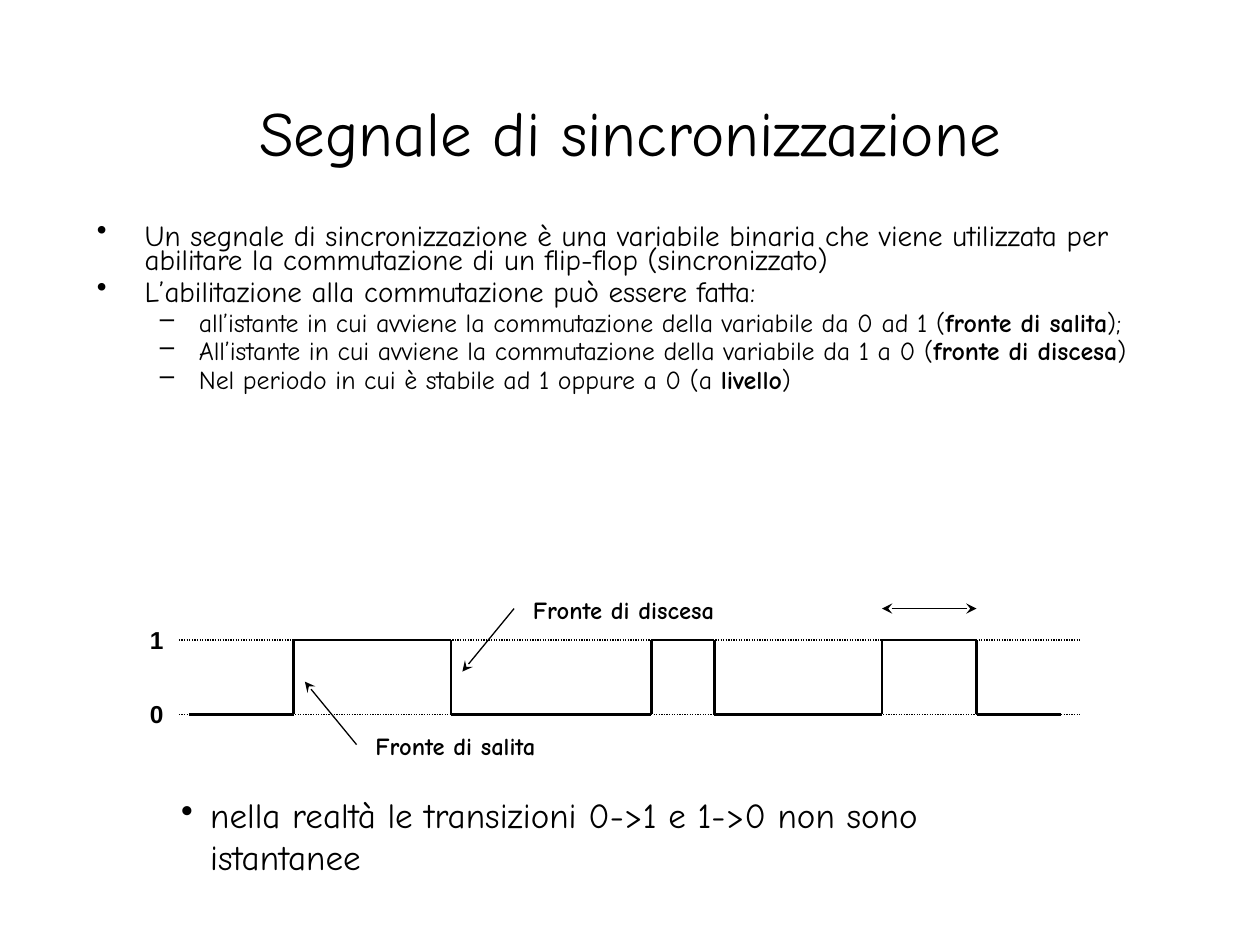
from itertools import pairwise

from lxml import etree
from pptx import Presentation
from pptx.dml.color import RGBColor
from pptx.enum.dml import MSO_LINE
from pptx.enum.shapes import MSO_CONNECTOR
from pptx.enum.text import MSO_ANCHOR, PP_ALIGN
from pptx.oxml.ns import qn
from pptx.util import Inches, Pt

STRAIGHT = MSO_CONNECTOR.STRAIGHT
DOTTED = MSO_LINE.ROUND_DOT
CENTER, LEFT = PP_ALIGN.CENTER, PP_ALIGN.LEFT
MIDDLE, TOP = MSO_ANCHOR.MIDDLE, MSO_ANCHOR.TOP

THEME = {
    "ink": RGBColor(0, 0, 0), "font": "Comic Neue", "digits": "Arial",
    "title": 36, "point": 16.6, "subpoint": 14.8, "label": 14, "remark": 20,
    "signal": 1.5, "thin": 0.75,
}

# Content: each paragraph is a list of (text, bold) runs
TITLE = "Segnale di sincronizzazione"
POINTS = [
    (0, [("Un segnale di sincronizzazione è una variabile binaria che viene utilizzata "
          "per abilitare la commutazione di un flip-flop (sincronizzato)", False)]),
    (0, [("L’abilitazione alla commutazione può essere fatta:", False)]),
    (1, [("all’istante in cui avviene la commutazione della variabile da 0 ad 1 (", False),
         ("fronte di salita", True), (");", False)]),
    (1, [("All’istante in cui avviene la commutazione della variabile da 1 a 0 (", False),
         ("fronte di discesa", True), (")", False)]),
    (1, [("Nel periodo in cui è stabile ad 1 oppure a 0 (a ", False),
         ("livello", True), (")", False)]),
]
REMARK = "nella realtà le transizioni 0->1 e 1->0 non sono istantanee"

# Format of each outline level: size, bullet, indent, hanging, space before
LEVELS = [
    dict(size=THEME["point"], bullet="•", indent=0.38, hanging=0.38, before=4.5),
    dict(size=THEME["subpoint"], bullet="–", indent=0.81, hanging=0.31, before=4),
]

# Timing diagram, in inches
HIGH, LOW = 5.08, 5.67
SIGNAL_START, SIGNAL_END = 1.5, 8.42
EDGES = [2.33, 3.58, 5.17, 5.67, 7, 7.75]
GUIDE_START, GUIDE_END = 1.42, 8.58
PULSE_Y = 4.83
POINTERS = [((2.83, 5.91), (2.42, 5.41)), ((4.08, 4.83), (3.67, 5.33))]
LABELS = [
    ("Fronte di discesa", (4.13, 4.67, 1.65, 0.34), THEME["font"]),
    ("Fronte di salita", (2.88, 5.75, 1.48, 0.34), THEME["font"]),
    ("1", (1.09, HIGH - 0.17, 0.31, 0.34), THEME["digits"]),
    ("0", (1.09, LOW - 0.17, 0.31, 0.34), THEME["digits"]),
]


def add_paragraph(paragraph, runs, size, font=THEME["font"], align=LEFT, bullet=None,
                  indent=0, hanging=0, before=0, spacing=None, level=0):
    paragraph.level = level
    paragraph.alignment = align
    paragraph.space_before = Pt(before)
    if spacing:
        paragraph.line_spacing = spacing
    if bullet:
        properties = paragraph._p.get_or_add_pPr()
        properties.set("marL", str(Inches(indent)))
        properties.set("indent", str(-Inches(hanging)))
        etree.SubElement(properties, qn("a:buChar")).set("char", bullet)
    for text, bold in runs:
        run = paragraph.add_run()
        run.text = text
        run.font.size = Pt(size)
        run.font.name = font
        run.font.bold = bold
        run.font.color.rgb = THEME["ink"]


def add_text(shapes, box, text, bold=False, wrap=True, anchor=TOP, **format):
    frame = shapes.add_textbox(*map(Inches, box)).text_frame
    frame.word_wrap = wrap
    frame.vertical_anchor = anchor
    if isinstance(text, str):
        add_paragraph(frame.paragraphs[0], [(text, bold)], **format)
        return
    for index, (level, runs) in enumerate(text):
        paragraph = frame.add_paragraph() if index else frame.paragraphs[0]
        style = LEVELS[level] if index else {**LEVELS[level], "before": 0}
        add_paragraph(paragraph, runs, level=level, **style, **format)


def add_line(shapes, start, end, width=THEME["thin"], dash=None, arrows=()):
    line = shapes.add_connector(STRAIGHT, *map(Inches, (*start, *end)))
    line.line.color.rgb = THEME["ink"]
    line.line.width = Pt(width)
    if dash:
        line.line.dash_style = dash
    for end_tag in arrows:
        etree.SubElement(line.line._get_or_add_ln(), qn(end_tag)).set("type", "stealth")
    etree.SubElement(line._element.spPr, qn("a:effectLst"))


def add_timing_diagram(shapes):
    # Signal: the level flips at every edge
    corners = [(SIGNAL_START, LOW)]
    for index, x in enumerate(EDGES):
        before, after = (HIGH, LOW) if index % 2 else (LOW, HIGH)
        corners += [(x, before), (x, after)]
    corners.append((SIGNAL_END, LOW))
    for start, end in pairwise(corners):
        add_line(shapes, start, end, THEME["signal"])

    # Pointers to the edges and width of the last pulse
    for start, end in POINTERS:
        add_line(shapes, start, end, arrows=["a:tailEnd"])
    add_line(shapes, (EDGES[-2], PULSE_Y), (EDGES[-1], PULSE_Y),
             arrows=["a:headEnd", "a:tailEnd"])

    # Guides of the two logic levels
    for y in (HIGH, LOW):
        add_line(shapes, (GUIDE_START, y), (GUIDE_END, y), dash=DOTTED)

    for text, box, font in LABELS:
        add_text(shapes, box, text, bold=True, wrap=False, size=THEME["label"], font=font)


def main():
    deck = Presentation()
    deck.slide_width, deck.slide_height = Inches(10), Inches(7.5)
    shapes = deck.slides.add_slide(deck.slide_layouts[6]).shapes

    add_text(shapes, (0.75, 0.42, 8.5, 1.25), TITLE, anchor=MIDDLE,
             size=THEME["title"], align=CENTER)
    add_text(shapes, (0.67, 1.75, 8.5, 1.67), POINTS, spacing=0.7)
    add_timing_diagram(shapes.add_group_shape().shapes)
    add_text(shapes, (1.34, 6.25, 7.3, 0.44), REMARK, size=THEME["remark"],
             bullet="•", indent=0.23, hanging=0.23)

    deck.save("out.pptx")


if __name__ == "__main__":
    main()
